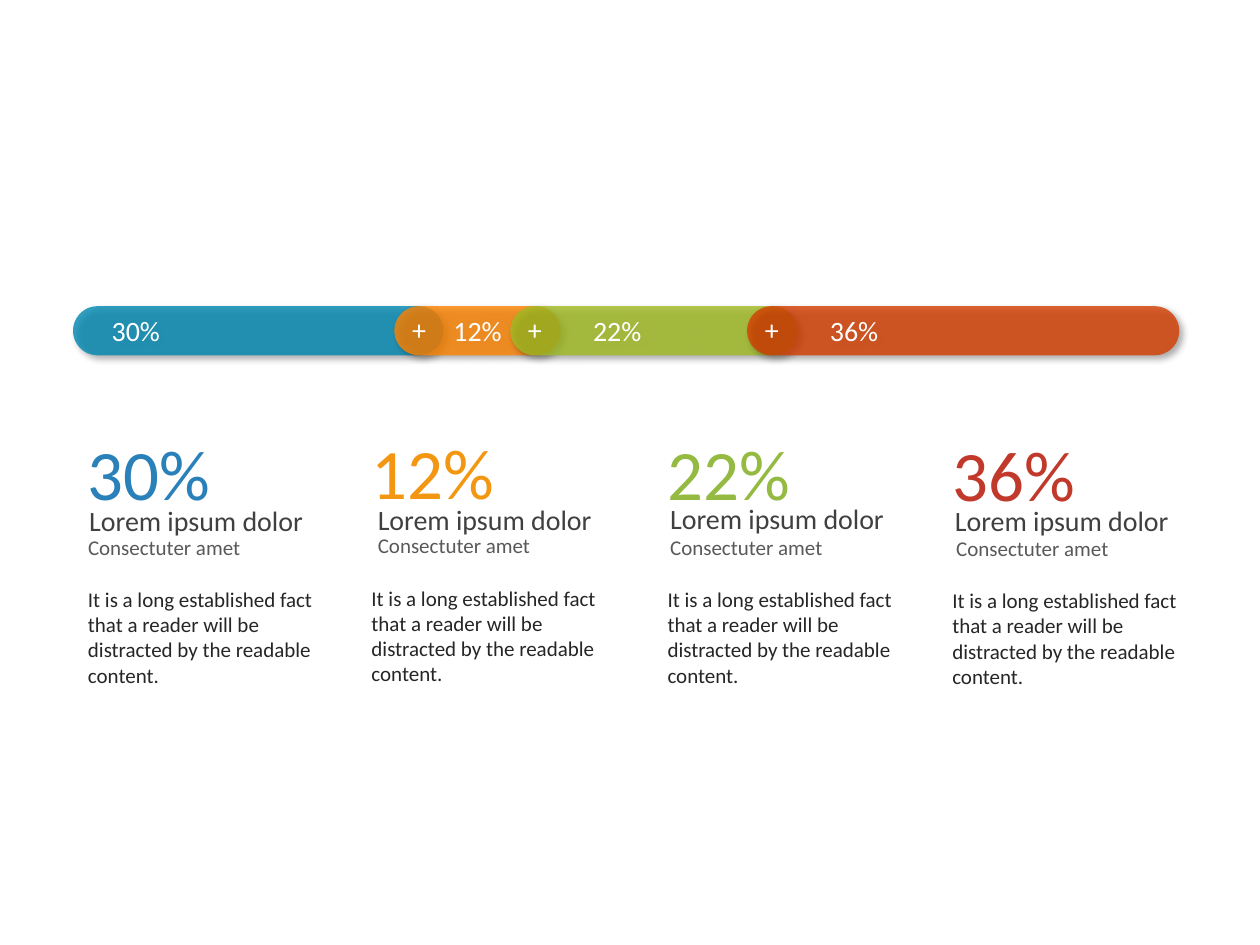
from lxml import etree
from pptx import Presentation
from pptx.dml.color import RGBColor
from pptx.enum.shapes import MSO_SHAPE
from pptx.enum.text import MSO_ANCHOR, MSO_AUTO_SIZE, PP_ALIGN
from pptx.oxml import parse_xml
from pptx.oxml.ns import nsdecls, qn
from pptx.util import Inches, Pt

ROUND = MSO_SHAPE.ROUNDED_RECTANGLE
MIDDLE = MSO_ANCHOR.MIDDLE
GROW = MSO_AUTO_SIZE.SHAPE_TO_FIT_TEXT
LEFT, CENTER = PP_ALIGN.LEFT, PP_ALIGN.CENTER

prs = Presentation()
prs.slide_width, prs.slide_height = Inches(10), Inches(7.5)
COL, ROW = prs.slide_width // 100, prs.slide_height // 75
s = prs.slides.add_slide(prs.slide_layouts[6])


def write(sp, text, size, color, align=LEFT):
    p = sp.text_frame.paragraphs[0]
    p.alignment = align
    r = p.add_run()
    r.text = text
    r.font.name, r.font.size = "Calibri", Pt(size)
    r.font.color.rgb = RGBColor.from_string(color)


def text_box(shapes, x, y, w, h, text, size, color, align=LEFT, wrap=True):
    sp = shapes.add_textbox(int(x * COL), int(y * ROW), int(w * COL), int(h * ROW))
    sp.text_frame.word_wrap = wrap
    sp.text_frame.auto_size = GROW
    write(sp, text, size, color, align)


BAR_Y, BAR_H = 24.3, 3.9
bars = [
    (5.8, 29.4, "0087B1", "30%", LEFT, 2.5),
    (31.3, 13.2, "FE8301", "12%", CENTER, 1),
    (40.5, 22.8, "A1BB22", "22%", LEFT, 6),
    (59.3, 34.3, "D43E01", "36%", LEFT, 6),
]
for x, w, color, label, align, inset in bars:
    sp = s.shapes.add_shape(ROUND, int(x * COL), int(BAR_Y * ROW), int(w * COL), int(BAR_H * ROW))
    sp.adjustments[0] = 0.5
    sp.shadow.inherit = False
    sp.fill.solid()
    sp.fill.fore_color.rgb = RGBColor.from_string(color)
    sp.line.fill.background()
    fill = sp.fill._xPr.find(qn("a:solidFill"))[0]
    etree.SubElement(fill, qn("a:alpha"), val="80000")
    sp._element.spPr.find(qn("a:effectLst")).append(parse_xml(
        f'<a:outerShdw {nsdecls("a")} blurRad="50800" dist="38100" dir="2700000" algn="tl" rotWithShape="0">'
        '<a:srgbClr val="000000"><a:alpha val="40000"/></a:srgbClr></a:outerShdw>'))
    tf = sp.text_frame
    tf.word_wrap = True
    tf.vertical_anchor = MIDDLE
    tf.margin_left = int(inset * COL)
    write(sp, label, 16, "FFFFFF", align)

for x, *_ in bars[1:]:
    text_box(s.shapes, x, BAR_Y, BAR_H, 3.7, "+", 16, "FFFFFF", CENTER)

columns = [
    (6, 33.6, 0.1, 0, 5.9, "30%", "2A80B9"),
    (28.5, 33.5, 0.5, 0.5, 5.9, "12%", "F39712"),
    (52, 33.6, 0.2, 0.2, 5.7, "22%", "94BA41"),
    (74.6, 33.7, 0.2, 0.3, 5.8, "36%", "C1392B"),
]
for x, y, title_dx, sub_dx, title_dy, share, color in columns:
    group = s.shapes.add_group_shape().shapes
    text_box(group, x, y, 16, 7.8, share, 40.5, color)
    text_box(group, x + title_dx, y + title_dy, 19.1, 3.7, "Lorem ipsum dolor", 16, "404040")
    text_box(group, x + sub_dx, y + 8.3, 14.2, 3, "Consectuter amet", 12, "595959", wrap=False)
    text_box(group, x, y + 12.45, 20, 9.1,
             "It is a long established fact that a reader will be distracted by the readable content.",
             12, "262626")

prs.save("out.pptx")
